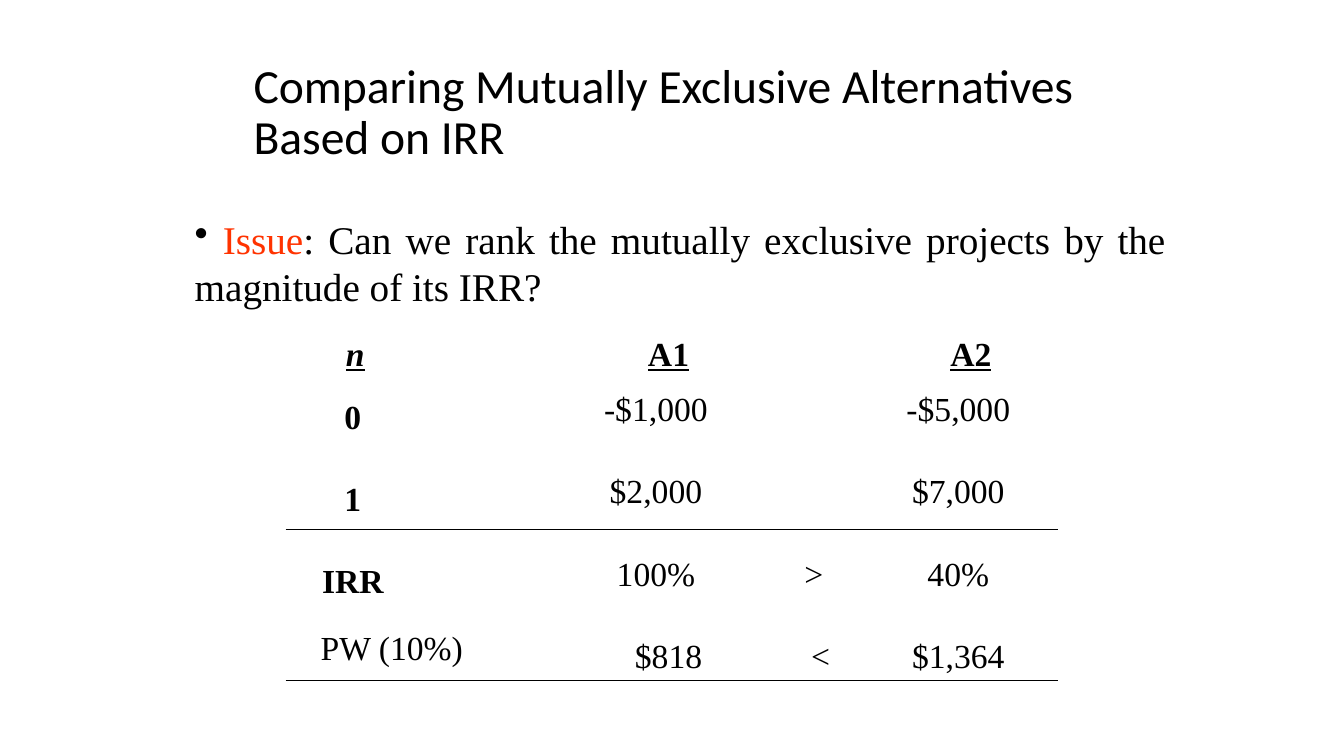
from dataclasses import dataclass

from lxml import etree
from pptx import Presentation
from pptx.dml.color import RGBColor
from pptx.enum.shapes import MSO_CONNECTOR
from pptx.enum.text import MSO_ANCHOR, PP_ALIGN
from pptx.oxml.ns import qn
from pptx.slide import Slide
from pptx.util import Inches, Pt

BLACK = RGBColor(0x00, 0x00, 0x00)
ORANGE = RGBColor(0xFF, 0x33, 0x00)
SANS = "Calibri"
SERIF = "Times New Roman"
LEFT, CENTER, JUSTIFY = PP_ALIGN.LEFT, PP_ALIGN.CENTER, PP_ALIGN.JUSTIFY
TOP, MIDDLE = MSO_ANCHOR.TOP, MSO_ANCHOR.MIDDLE
STRAIGHT = MSO_CONNECTOR.STRAIGHT

SLIDE_WIDTH, SLIDE_HEIGHT = Inches(13.33), Inches(7.5)
GRID_COLUMNS, GRID_ROWS = 160, 90
ROW_GAP = 30
VALUE_STOPS = (6.4, 25.2, 42.4)
PRESENT_WORTH_STOPS = (7.9, 26, 42.4)
HEADING_STOPS = (38.4, 74.4)
RULE_ROWS = (63, 81)


@dataclass(frozen=True)
class Span:
    text: str
    color: RGBColor | None = None
    italic: bool | None = None


@dataclass(frozen=True)
class Para:
    spans: tuple[Span, ...]
    stops: tuple[float, ...] = ()
    bullet: str = ""


@dataclass(frozen=True)
class TextBlock:
    column: float
    row: float
    columns: float
    rows: float
    paras: tuple[Para, ...]
    size: int = 24
    font: str = SERIF
    align: PP_ALIGN = LEFT
    anchor: MSO_ANCHOR = TOP
    bold: bool = False
    underline: bool = False
    line_spacing: float = 1.0
    gap: int = 0


def across(columns: float) -> int:
    return round(SLIDE_WIDTH * columns / GRID_COLUMNS)


def down(rows: float) -> int:
    return round(SLIDE_HEIGHT * rows / GRID_ROWS)


def plain(text: str) -> Para:
    return Para((Span(text),))


def tabbed(cells: tuple[str, ...], stops: tuple[float, ...]) -> Para:
    return Para((Span("".join(f"\t{cell}" for cell in cells)),), stops)


def draw_text(page: Slide, block: TextBlock) -> None:
    box = page.shapes.add_textbox(
        across(block.column), down(block.row), across(block.columns), down(block.rows)
    )
    frame = box.text_frame
    frame.word_wrap = True
    frame.vertical_anchor = block.anchor
    for index, content in enumerate(block.paras):
        para = frame.add_paragraph() if index else frame.paragraphs[0]
        properties = para._p.get_or_add_pPr()
        if content.bullet:
            etree.SubElement(properties, qn("a:buChar"), char=content.bullet)
        if content.stops:
            tabs = etree.SubElement(properties, qn("a:tabLst"))
            for stop in content.stops:
                etree.SubElement(tabs, qn("a:tab"), pos=str(across(stop)), algn="ctr")
        para.alignment = block.align
        para.line_spacing = block.line_spacing
        para.space_after = Pt(block.gap)
        para.font.name = block.font
        para.font.size = Pt(block.size)
        para.font.bold = block.bold
        para.font.underline = block.underline
        para.font.color.rgb = BLACK
        for span in content.spans:
            run = para.add_run()
            run.text = span.text
            if span.color is not None:
                run.font.color.rgb = span.color
            if span.italic is not None:
                run.font.italic = span.italic


def draw_rule(page: Slide, row: float) -> None:
    rule = page.shapes.add_connector(
        STRAIGHT, across(34), down(row), across(126), down(row)
    )
    rule.line.color.rgb = BLACK
    rule.line.width = Pt(0.75)
    etree.SubElement(rule._element.spPr, qn("a:effectLst"))


TITLE = TextBlock(
    29, 6, 102, 15,
    (plain("Comparing Mutually Exclusive Alternatives Based on IRR"),),
    size=34, font=SANS, anchor=MIDDLE, line_spacing=0.9,
)
QUESTION = Para(
    (
        Span(" "),
        Span("Issue", ORANGE),
        Span(": Can we rank the mutually exclusive projects by the magnitude of its IRR?"),
    ),
    bullet="•",
)
ISSUE = TextBlock(22, 25, 118, 12.4, (QUESTION,), size=28, align=JUSTIFY)
HEADINGS = TextBlock(
    40, 39, 80, 6,
    (Para((Span("n", italic=True), Span("\tA1\tA2")), HEADING_STOPS),),
    bold=True, underline=True,
)
LABELS = TextBlock(
    36, 46.5, 12, 25.5,
    tuple(plain(label) for label in ("0", "1", "IRR")),
    align=CENTER, bold=True, gap=ROW_GAP,
)
VALUES = TextBlock(
    70.5, 45.6, 54, 35.2,
    (
        tabbed(("-$1,000", "", "-$5,000"), VALUE_STOPS),
        tabbed(("$2,000", "", "$7,000"), VALUE_STOPS),
        tabbed(("100%", ">", "40%"), VALUE_STOPS),
        tabbed(("$818", "<", "$1,364"), PRESENT_WORTH_STOPS),
    ),
    gap=ROW_GAP,
)
PRESENT_WORTH = TextBlock(37, 74, 21, 6, (plain("PW (10%)"),))


def main() -> None:
    deck = Presentation()
    deck.slide_width, deck.slide_height = SLIDE_WIDTH, SLIDE_HEIGHT
    page = deck.slides.add_slide(deck.slide_layouts[6])
    for block in (TITLE, ISSUE, HEADINGS, LABELS, VALUES, PRESENT_WORTH):
        draw_text(page, block)
    for row in RULE_ROWS:
        draw_rule(page, row)
    deck.save("out.pptx")


if __name__ == "__main__":
    main()
